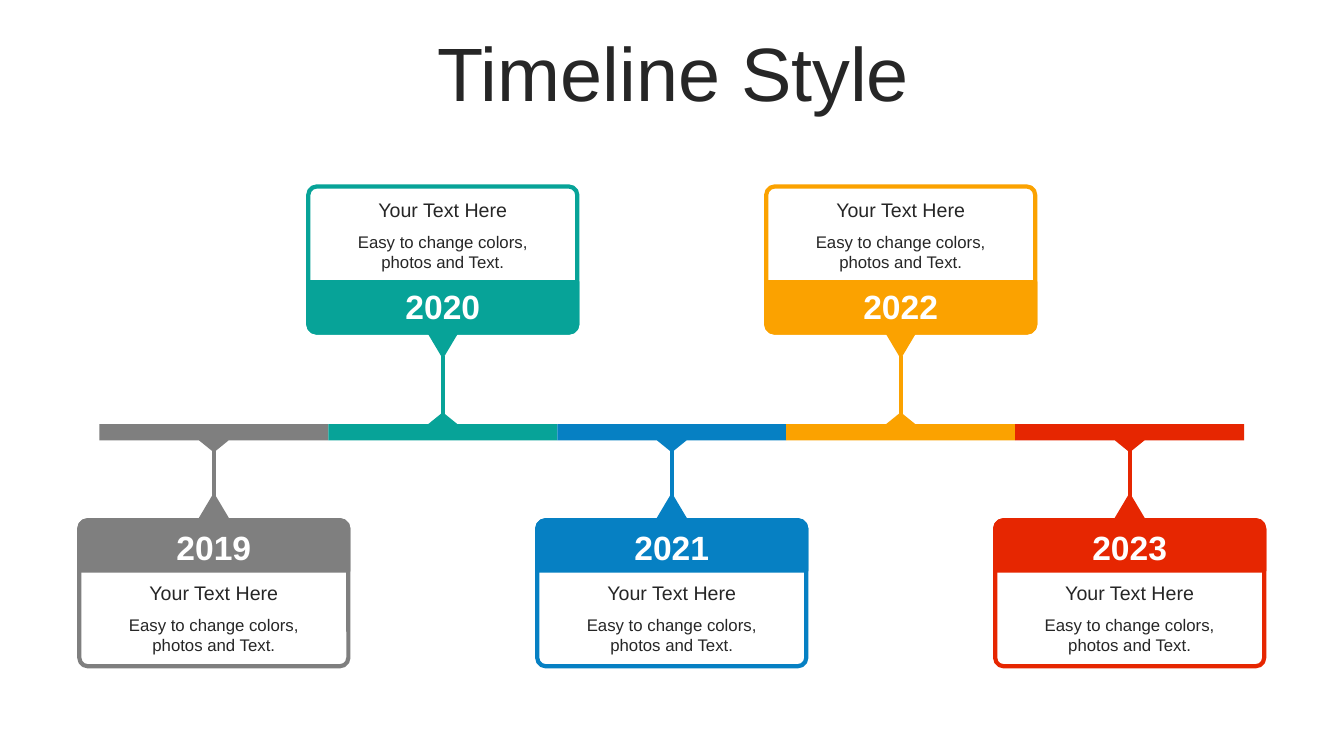
"""Build a five-year timeline slide with cards alternating below and above the bar."""
import pptx
import pptx.dml.color
import pptx.enum.shapes
import pptx.enum.text
import pptx.oxml
import pptx.oxml.ns
import pptx.util

Cm = pptx.util.Cm
Pt = pptx.util.Pt
SHAPE = pptx.enum.shapes.MSO_SHAPE
ANCHOR = pptx.enum.text.MSO_ANCHOR

COLORS = {
    "2019": "7F7F7F",
    "2020": "07A398",
    "2021": "0680C3",
    "2022": "FBA200",
    "2023": "E62601",
    "text": "262626",
    "white": "FFFFFF",
}
YEARS = ("2019", "2020", "2021", "2022", "2023")
FIRST_CENTER = 5.39
PITCH = 5.77
BAR_TOP = 10.69
BAR_BOTTOM = 11.1
CARD_WIDTH = 6.78
CARD_HEIGHT = 3.68
BAND_HEIGHT = 1.27
HEADING_HEIGHT = 0.86

ABOVE = {"card": 4.7, "band": 7.11, "arrow": 8.36, "year": 7.09, "heading": 4.85,
         "stem": (8.97, BAR_TOP), "rotation": 180}
BELOW = {"card": 13.11, "band": 13.11, "arrow": 12.52, "year": 13.16, "heading": 14.5,
         "stem": (BAR_BOTTOM, 12.85), "rotation": 0}


def rgb(name):
    return pptx.dml.color.RGBColor.from_string(COLORS[name])


def add_text(slide, text, center, top, width, height, size, color="text",
             bold=False, anchor=ANCHOR.TOP):
    box = slide.shapes.add_textbox(Cm(center - width / 2), Cm(top), Cm(width), Cm(height))
    frame = box.text_frame
    frame.word_wrap = True
    frame.vertical_anchor = anchor
    frame.text = text
    para = frame.paragraphs[0]
    para.alignment = pptx.enum.text.PP_ALIGN.CENTER
    span = para.runs[0]
    span.font.name = "Arial"
    span.font.size = Pt(size)
    span.font.bold = bold
    span.font.color.rgb = rgb(color)
    return para


def add_outlined(slide, kind, center, top, width, height, fill, line,
                 adjustments=(), rotation=0):
    shape = slide.shapes.add_shape(
        kind, Cm(center - width / 2), Cm(top), Cm(width), Cm(height))
    shape.shadow.inherit = False
    shape.rotation = rotation
    for index, value in enumerate(adjustments):
        shape.adjustments[index] = value
    shape.fill.solid()
    shape.fill.fore_color.rgb = rgb(fill)
    shape.line.color.rgb = rgb(line)
    shape.line.width = Pt(3)


def add_segment(slide, center, year, above):
    near, far, tip = (BAR_TOP, BAR_BOTTOM, -0.3) if above else (BAR_BOTTOM, BAR_TOP, 0.3)
    left, right = center - PITCH / 2, center + PITCH / 2
    outline = [(right, far), (left, far), (left, near), (center - 0.37, near),
               (center, near + tip), (center + 0.37, near), (right, near)]
    points = [(Cm(x), Cm(y)) for x, y in outline]
    builder = slide.shapes.build_freeform(*points[0])
    builder.add_line_segments(points[1:], close=True)
    segment = builder.convert_to_shape()
    segment.shadow.inherit = False
    segment.fill.solid()
    segment.fill.fore_color.rgb = rgb(year)
    segment.line.fill.background()


def add_card(slide, center, year, place):
    add_outlined(slide, SHAPE.ROUNDED_RECTANGLE, center, place["card"],
                 CARD_WIDTH, CARD_HEIGHT, "white", year, (0.058,))
    add_outlined(slide, SHAPE.ROUND_2_SAME_RECTANGLE, center, place["band"],
                 CARD_WIDTH, BAND_HEIGHT, year, year, (0.167, 0), place["rotation"])
    add_outlined(slide, SHAPE.ISOSCELES_TRIANGLE, center, place["arrow"],
                 0.69, 0.58, year, year, rotation=place["rotation"])
    add_text(slide, year, center, place["year"], 4.09, 1.27, 24, "white", bold=True)
    add_text(slide, "Your Text Here", center, place["heading"], 5.82, HEADING_HEIGHT, 14,
             anchor=ANCHOR.MIDDLE)
    add_text(slide, "Easy to change colors, photos and Text.", center,
             place["heading"] + HEADING_HEIGHT, 5.82, 1.27, 12)


def add_stem(slide, center, year, place):
    start, end = place["stem"]
    stem = slide.shapes.add_connector(
        pptx.enum.shapes.MSO_CONNECTOR.STRAIGHT, Cm(center), Cm(start), Cm(center), Cm(end))
    stem.line.color.rgb = rgb(year)
    stem.line.width = Pt(3)
    properties = stem.element.find(pptx.oxml.ns.qn("p:spPr"))
    properties.append(pptx.oxml.parse_xml(
        "<a:effectLst %s/>" % pptx.oxml.ns.nsdecls("a")))


def main():
    deck = pptx.Presentation()
    deck.slide_width = Cm(33.87)
    deck.slide_height = Cm(19.05)
    slide = deck.slides.add_slide(deck.slide_layouts[6])
    title = add_text(slide, "Timeline Style", 16.97, 0.94, 32.16, 2.01, 54,
                     anchor=ANCHOR.MIDDLE)
    title.line_spacing = 0.9
    for index, year in enumerate(YEARS):
        center = FIRST_CENTER + index * PITCH
        above = index % 2 == 1
        place = ABOVE if above else BELOW
        add_segment(slide, center, year, above)
        add_card(slide, center, year, place)
        add_stem(slide, center, year, place)
    deck.save("out.pptx")


if __name__ == "__main__":
    main()
